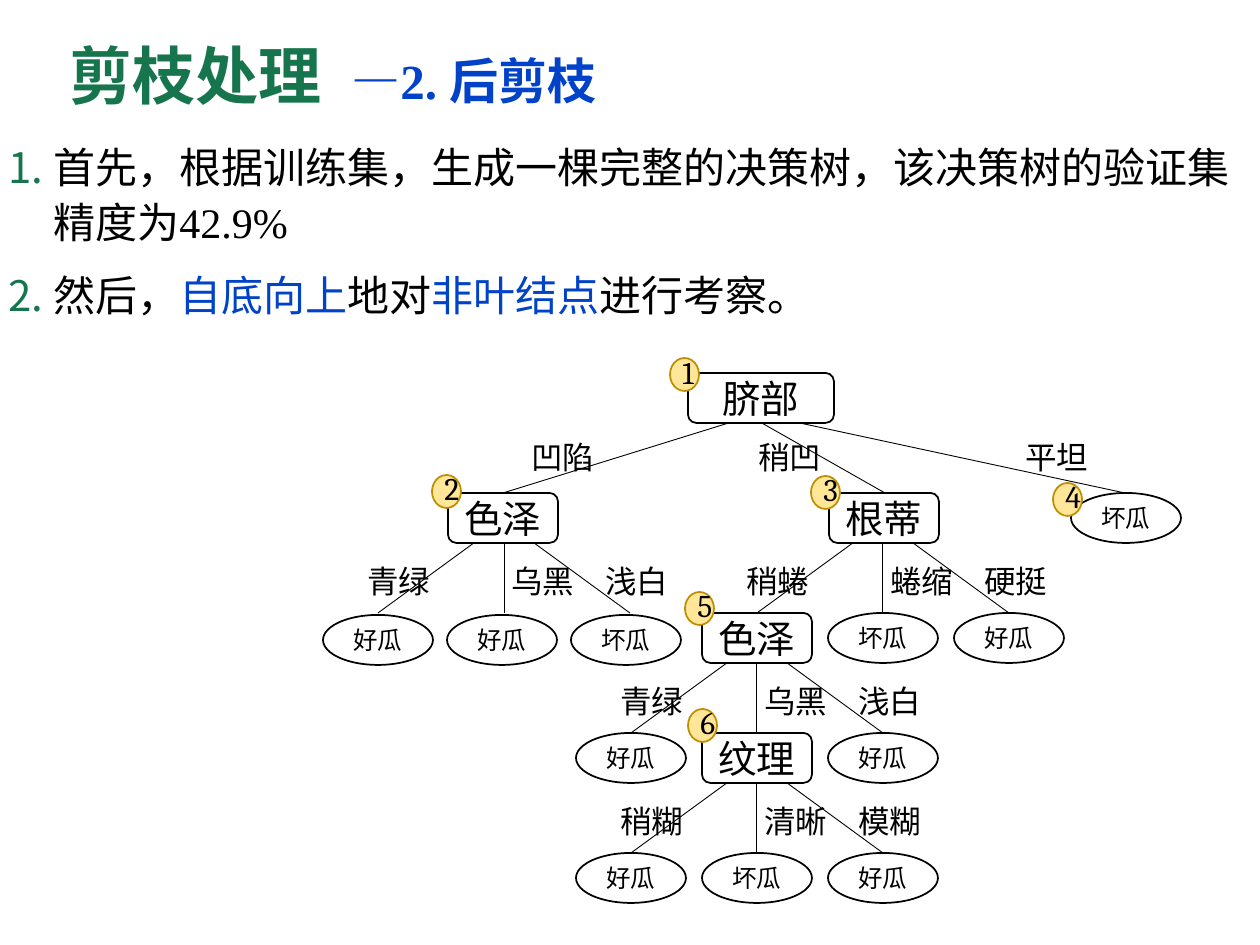
from lxml.etree import SubElement
from pptx import Presentation
from pptx.dml.color import RGBColor
from pptx.enum.shapes import MSO_CONNECTOR, MSO_SHAPE
from pptx.enum.text import MSO_ANCHOR, PP_ALIGN
from pptx.oxml.ns import qn
from pptx.util import Inches, Pt

PX = 7257  # EMU per px, 126 px to the inch
COLORS = {"green": "16754D", "blue": "0042C8", "black": "000000",
          "white": "FFFFFF", "yellow": "FFE699", "gold": "BD8E00"}
SERIF, HEAD, SANS = "Times New Roman", "Cambria", "Noto Sans CJK SC"


def add_run(p, text, size, font, color="black", bold=False):
    r = p.add_run()
    r.text = text
    r.font.size, r.font.name, r.font.bold = Pt(size), font, bold
    r.font.color.rgb = RGBColor.from_string(COLORS[color])
    return r


def add_node(kind, x, y, w, h, text, size, font, fill="white", line="black"):
    sp = slide.shapes.add_shape(kind, x * PX, y * PX, w * PX, h * PX)
    sp.shadow.inherit = False
    sp.fill.solid()
    sp.fill.fore_color.rgb = RGBColor.from_string(COLORS[fill])
    sp.line.color.rgb = RGBColor.from_string(COLORS[line])
    sp.line.width = Pt(1)
    tf = sp.text_frame
    tf.vertical_anchor = MSO_ANCHOR.MIDDLE
    tf.paragraphs[0].alignment = PP_ALIGN.CENTER
    add_run(tf.paragraphs[0], text, size, font)
    return sp


prs = Presentation()
prs.slide_width, prs.slide_height = Inches(10), Inches(7.5)
slide = prs.slides.add_slide(prs.slide_layouts[6])

# Title
tf = slide.shapes.add_textbox(57 * PX, 26 * PX, 1086 * PX, 107 * PX).text_frame
tf.word_wrap = True
tf.vertical_anchor = MSO_ANCHOR.MIDDLE
p = tf.paragraphs[0]
p.line_spacing = 0.9
add_run(p, "剪枝处理", 36, SERIF, "green", True)
gap = add_run(p, " ", 36, SERIF, "green", True)
gap.font._element.set("spc", "900")
add_run(p, "—2. 后剪枝", 28, SERIF, "blue", True)

# Numbered steps
steps = [
    [("首先，根据训练集，生成一棵完整的决策树，该决策树的验证集精度为42.9%", "black")],
    [("然后，", "black"), ("自底向上", "blue"), ("地对", "black"),
     ("非叶结点", "blue"), ("进行考察。", "black")],
]
tf = slide.shapes.add_textbox(-4 * PX, 130 * PX, 1270 * PX, 214 * PX).text_frame
tf.word_wrap = True
for i, parts in enumerate(steps):
    p = tf.paragraphs[0] if i == 0 else tf.add_paragraph()
    pPr = p._p.get_or_add_pPr()
    pPr.set("marL", str(45 * PX))
    pPr.set("indent", str(-45 * PX))
    SubElement(SubElement(pPr, qn("a:buClr")), qn("a:srgbClr"), val=COLORS["green"])
    SubElement(pPr, qn("a:buFont"), typeface=SANS)
    SubElement(pPr, qn("a:buAutoNum"), type="arabicPeriod")
    p.line_spacing = 1.1
    if i:
        p.space_before = Pt(10)
    for text, color in parts:
        add_run(p, text, 24, SERIF, color)

# Tree layout: rows of nodes 120 px apart, siblings 126 px apart
W, H, STEP, ROW = 110, 50, 126, 120
TOP = [493 + ROW * i for i in range(4)]
INNER, LEAF = MSO_SHAPE.ROUNDED_RECTANGLE, MSO_SHAPE.OVAL
LABEL_DX, LABEL_DY = (-149, -5, 89), 63

# Edges and labels: the root first, then each inner node's three branches
edges = [(732, 422, 503, TOP[0]), (760, 422, 885, TOP[0]), (795, 422, 1125, TOP[0])]
labels = [("凹陷", 519, 432), ("稍凹", 746, 432), ("平坦", 1013, 432)]
branches = [
    (504, 0, ("青绿", "乌黑", "浅白")),
    (883, 0, ("稍蜷", "蜷缩", "硬挺")),
    (757, 1, ("青绿", "乌黑", "浅白")),
    (757, 2, ("稍糊", "清晰", "模糊")),
]
for cx, row, names in branches:
    for i, name in enumerate(names):
        edges.append((cx, TOP[row] + 28, cx + STEP * (i - 1), TOP[row + 1]))
        labels.append((name, cx + LABEL_DX[i], TOP[row] + LABEL_DY))

for x1, y1, x2, y2 in edges:
    ln = slide.shapes.add_connector(MSO_CONNECTOR.STRAIGHT,
                                    x1 * PX, y1 * PX, x2 * PX, y2 * PX)
    ln.line.color.rgb = RGBColor.from_string(COLORS["black"])
    ln.line.width = Pt(0.5)
    SubElement(ln._element.spPr, qn("a:effectLst"))

# Nodes: shape, centre x, top, text
add_node(INNER, 688, 373, 146, H, "脐部", 22, HEAD)
nodes = [
    (INNER, 503, TOP[0], "色泽"), (INNER, 884, TOP[0], "根蒂"), (LEAF, 1126, TOP[0], "坏瓜"),
    (LEAF, 378, 615, "好瓜"), (LEAF, 502, 615, "好瓜"), (LEAF, 626, 615, "坏瓜"),
    (INNER, 757, TOP[1], "色泽"), (LEAF, 883, TOP[1], "坏瓜"), (LEAF, 1009, TOP[1], "好瓜"),
    (LEAF, 631, TOP[2], "好瓜"), (INNER, 757, TOP[2], "纹理"), (LEAF, 883, TOP[2], "好瓜"),
    (LEAF, 631, TOP[3], "好瓜"), (LEAF, 757, TOP[3], "坏瓜"), (LEAF, 883, TOP[3], "好瓜"),
]
for kind, cx, y, text in nodes:
    size, font = (22, HEAD) if kind == INNER else (14, SERIF)
    add_node(kind, cx - W // 2, y, W, H, text, size, font)

# Branch labels
for text, x, y in labels:
    tf = slide.shapes.add_textbox(x * PX, y * PX, 89 * PX, 50 * PX).text_frame
    tf.word_wrap = False
    add_run(tf.paragraphs[0], text, 18, SANS)

# Visiting order badges
badges = [(670, 358), (432, 475), (811, 476), (1053, 483), (685, 592), (688, 709)]
for n, (x, y) in enumerate(badges, 1):
    sp = add_node(LEAF, x, y, 29, 33, str(n), 18, HEAD, "yellow", "gold")
    sp.text_frame.margin_top = 0

prs.save("out.pptx")
